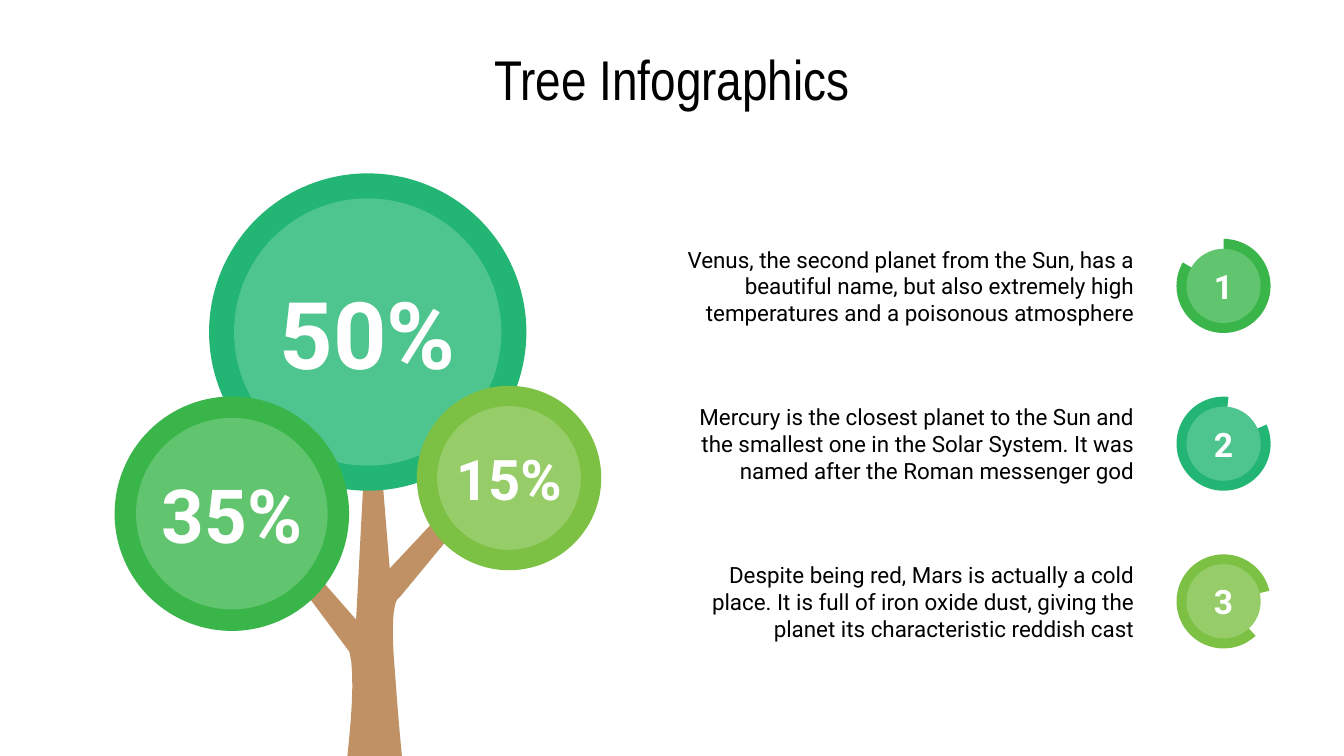
from dataclasses import dataclass

from pptx import Presentation
from pptx import util as u
from pptx.dml.color import RGBColor
from pptx.enum import shapes, text

TEAL, MINT = RGBColor(0x22, 0xB5, 0x73), RGBColor(0x4E, 0xC4, 0x8F)
GREEN, LEAF = RGBColor(0x39, 0xB5, 0x4A), RGBColor(0x61, 0xC4, 0x6E)
LIME, PALE = RGBColor(0x7D, 0xC1, 0x44), RGBColor(0x97, 0xCD, 0x69)
BROWN = RGBColor(0xBF, 0x91, 0x64)
WHITE, BLACK = RGBColor(0xFF, 0xFF, 0xFF), RGBColor(0, 0, 0)
Point = tuple[float, float]
OVAL, PIE = shapes.MSO_SHAPE.OVAL, shapes.MSO_SHAPE.PIE


@dataclass
class Crown:
    label: str
    x: float
    y: float
    outer: float
    inner: float
    size: float
    rim: RGBColor
    core: RGBColor


@dataclass
class Fact:
    words: str
    start: float  # degrees clockwise from the right
    end: float
    rim: RGBColor
    core: RGBColor


CROWNS = [
    Crown("50%", 197, 177.9, 85, 71.6, 50, TEAL, MINT),
    Crown("15%", 272.7, 256.1, 49.4, 38.5, 30, LIME, PALE),
    Crown("35%", 124.2, 275.2, 62.8, 51.3, 40, GREEN, LEAF),
]
FACTS = [
    Fact("Venus, the second planet from the Sun, has a beautiful name, but also "
         "extremely high temperatures and a poisonous atmosphere",
         270, 210, GREEN, LEAF),
    Fact("Mercury is the closest planet to the Sun and the smallest one in the "
         "Solar System. It was named after the Roman messenger god",
         336, 276, TEAL, MINT),
    Fact("Despite being red, Mars is actually a cold place. It is full of iron "
         "oxide dust, giving the planet its characteristic reddish cast",
         47, 347, LIME, PALE),
]
FACT_X, FACT_Y, FACT_STEP = 655.5, 153.2, 84.5


def paint(shape, color: RGBColor) -> None:
    shape.fill.solid()
    shape.fill.fore_color.rgb = color
    shape.line.fill.background()
    shape.shadow.inherit = False


def write(frame, words: str, size: float, color: RGBColor, align,
          font: str = "Roboto", bold: bool = False) -> None:
    frame.vertical_anchor = text.MSO_ANCHOR.MIDDLE
    para = frame.paragraphs[0]
    para.alignment = align
    run = para.add_run()
    run.text = words
    run.font.size = u.Pt(size)
    run.font.name = font
    run.font.bold = bold
    run.font.color.rgb = color


def disc(slide, x: float, y: float, radius: float, color: RGBColor, kind=OVAL):
    shape = slide.shapes.add_shape(kind, u.Pt(x - radius), u.Pt(y - radius),
                                   u.Pt(2 * radius), u.Pt(2 * radius))
    paint(shape, color)
    return shape


def label(shape, words: str, size: float) -> None:
    shape.text_frame.word_wrap = False
    write(shape.text_frame, words, size, WHITE, text.PP_ALIGN.CENTER, bold=True)


def curve(a: Point, b: Point, c: Point, d: Point, steps: int = 12) -> list[Point]:
    """Points along a cubic curve, without its start."""
    found = []
    for i in range(1, steps + 1):
        t = i / steps
        s = 1 - t
        parts = (s ** 3, 3 * s * s * t, 3 * s * t * t, t ** 3)
        found.append(tuple(sum(k * p[axis] for k, p in zip(parts, (a, b, c, d)))
                           for axis in (0, 1)))
    return found


def draw_trunk(slide) -> None:
    fork, foot = (187.2, 349.2), (183.6, 424.8)
    base, waist, notch = (217.4, 424), (211.7, 361.4), (213.8, 320.4)
    points = [
        (195, 252), (190.8, 332), (154, 290), (147.6, 296), fork,
        *curve(fork, (192.2, 366.5), foot, foot),
        base, *curve(base, base, (214.6, 402.5), waist),
        *curve(waist, (208, 320.4), notch, notch),
        (247.7, 279.4), (241.2, 270), (208.8, 304.6), (204.5, 252),
    ]
    spots = [(u.Pt(x), u.Pt(y)) for x, y in points]
    pen = slide.shapes.build_freeform(*spots[0])
    pen.add_line_segments(spots[1:], close=True)
    paint(pen.convert_to_shape(), BROWN)


def draw_crown(slide, crown: Crown) -> None:
    disc(slide, crown.x, crown.y, crown.outer, crown.rim)
    core = disc(slide, crown.x, crown.y, crown.inner, crown.core)
    label(core, crown.label, crown.size)


def draw_fact(slide, index: int, fact: Fact) -> None:
    y = FACT_Y + index * FACT_STEP
    rim = disc(slide, FACT_X, y, 25.2, fact.rim, PIE)
    for i, angle in enumerate((fact.start, fact.end)):
        rim.adjustments[i] = angle * 0.6  # 60000 units a degree, over 100000
    label(disc(slide, FACT_X, y, 19.9, fact.core), str(index + 1), 18)

    box = slide.shapes.add_textbox(u.Pt(347.8), u.Pt(y - 32.5), u.Pt(270.7), u.Pt(65))
    frame = box.text_frame
    frame.word_wrap = True
    frame.margin_left = frame.margin_right = u.Pt(10.8)
    frame.margin_top = frame.margin_bottom = u.Pt(7.2)
    write(frame, fact.words, 12, BLACK, text.PP_ALIGN.RIGHT)


def main() -> None:
    deck = Presentation()
    deck.slide_width, deck.slide_height = u.Pt(720), u.Pt(405)
    slide = deck.slides.add_slide(deck.slide_layouts[5])

    # Title
    title = slide.shapes.title
    title.left, title.top = u.Pt(100.8), u.Pt(23)
    title.width, title.height = u.Pt(518.4), u.Pt(38.2)
    title.text_frame.auto_size = text.MSO_AUTO_SIZE.NONE
    write(title.text_frame, "Tree Infographics", 30, BLACK,
          text.PP_ALIGN.CENTER, "Arial Narrow")

    # Tree
    draw_trunk(slide)
    for crown in CROWNS:
        draw_crown(slide, crown)

    # Numbered facts
    for index, fact in enumerate(FACTS):
        draw_fact(slide, index, fact)

    deck.save("out.pptx")


if __name__ == "__main__":
    main()
